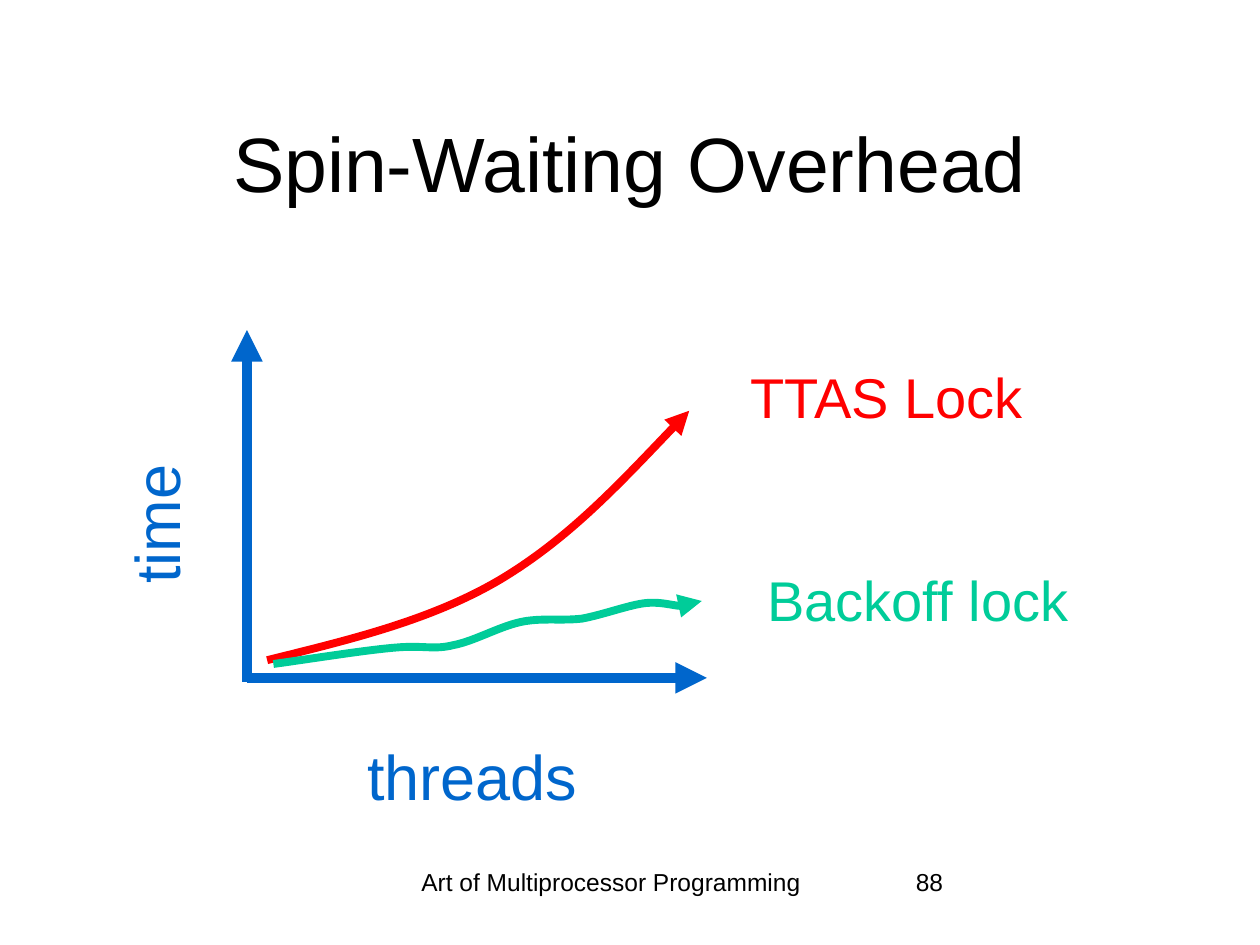
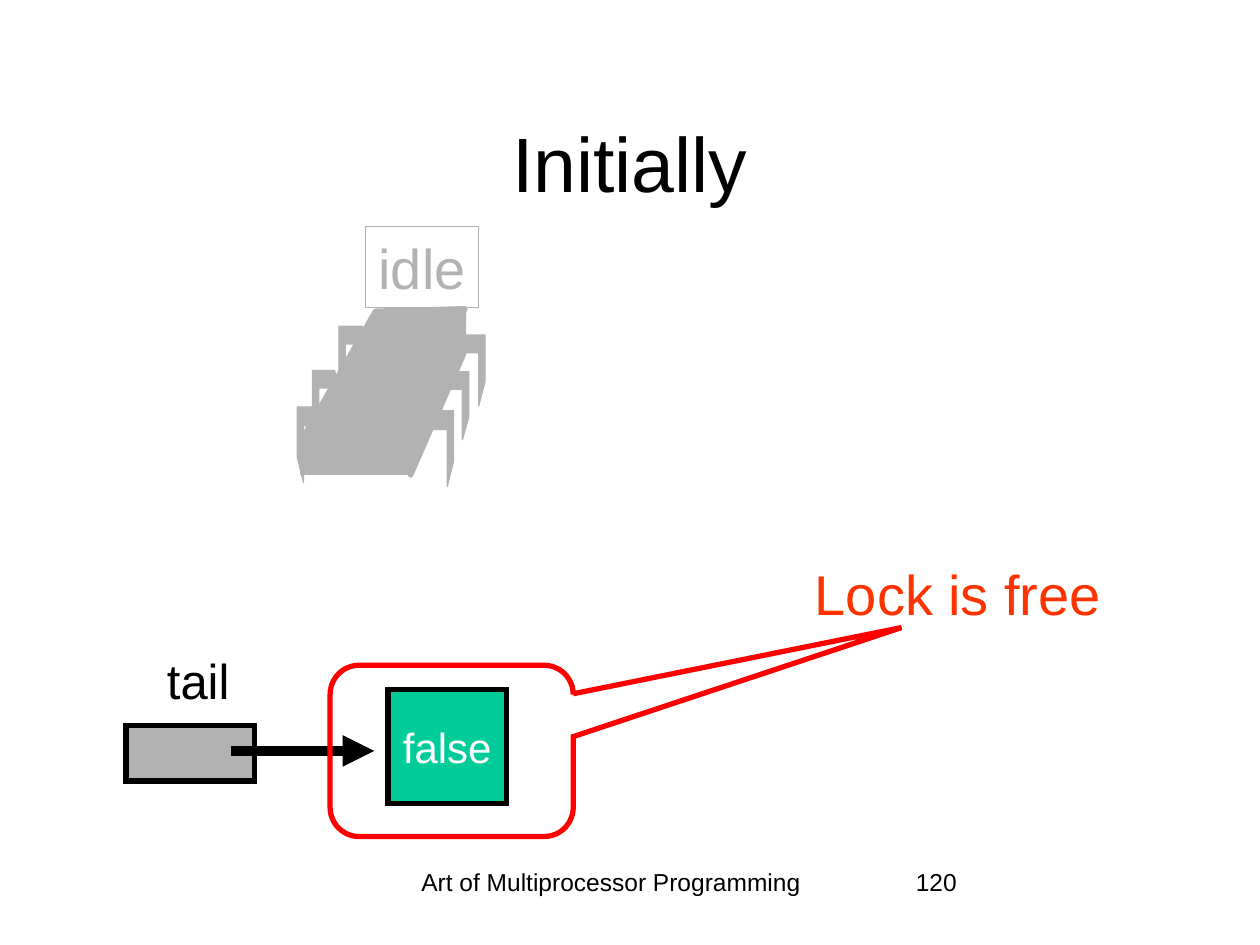
from pptx import Presentation
from pptx.dml.color import RGBColor
from pptx.enum.shapes import MSO_CONNECTOR, MSO_SHAPE
from pptx.enum.text import MSO_ANCHOR, PP_ALIGN
from pptx.oxml.ns import qn
from pptx.oxml.xmlchemy import OxmlElement
from pptx.util import Pt

PX = 9144  # EMU per px, 100 px to the inch
FONT = "Arial"
BLACK = RGBColor(0x00, 0x00, 0x00)
WHITE = RGBColor(0xFF, 0xFF, 0xFF)
BLUE = RGBColor(0x00, 0x66, 0xCC)
RED = RGBColor(0xFF, 0x00, 0x00)
ORANGE = RGBColor(0xFF, 0x33, 0x00)
GREEN = RGBColor(0x00, 0xCC, 0x99)
GREY = RGBColor(0xB2, 0xB2, 0xB2)
LEFT, MID, RIGHT = PP_ALIGN.LEFT, PP_ALIGN.CENTER, PP_ALIGN.RIGHT
TOP, CENTER = MSO_ANCHOR.TOP, MSO_ANCHOR.MIDDLE
RECT, CALL = MSO_SHAPE.RECTANGLE, MSO_SHAPE.ROUNDED_RECTANGULAR_CALLOUT
LINE = MSO_CONNECTOR.STRAIGHT

# Shared places
BOOK = "Art of Multiprocessor Programming"
TITLE_AT = (75, 66, 850, 125)
BOOK_AT = (289, 683, 392, 50)
PAGE_AT = (717, 683, 208, 50)

# Slide 1: axes, curves (start, then two handles and an end per step), labels
AXES = [(196, 541, 196, 262), (196, 538, 561, 538)]
CURVES = [
    (RED, [(212, 524),
           (276, 508), (341, 493), (397, 460),
           (452, 427), (499, 376), (547, 326)]),
    (GREEN, [(217, 527),
             (253, 522), (290, 516), (314, 514),
             (337, 512), (344, 516), (360, 512),
             (376, 509), (395, 498), (412, 494),
             (429, 490), (445, 493), (462, 491),
             (478, 488), (497, 481), (510, 479),
             (523, 477), (534, 481), (542, 481),
             (550, 481), (553, 479), (557, 477)]),
]
LABELS = [  # text, place, size, colour, turn
    ("TTAS Lock", (583, 283, 239, 64), 32, RED, 0),
    ("Backoff lock", (597, 444, 261, 64), 32, GREEN, 0),
    ("time", (66, 381, 125, 81), 36, BLUE, 270),
    ("threads", (270, 580, 198, 81), 36, BLUE, 0),
]

# Slide 2: lock node, tail cell, idle thread
NODE_AT = (308, 547, 94, 91)
CELL_AT = (100, 576, 102, 44)
LINK = (183, 596, 297, 596)
NOTES = [
    ("tail", (121, 511, 71, 57), 28, BLACK, 0),
    ("Lock is free", (635, 439, 249, 64), 32, ORANGE, 0),
]
BUBBLE_AT = (262, 528, 193, 136)
BUBBLE_ADJ = (1.85, -0.72, 0.17)
FRONT_AT = (240, 347, 85, 28)
SEAT = [(240, 348), (325, 345), (369, 245), (298, 247)]
FLANK = [(368, 245), (368, 281), (326, 377), (325, 349)]
IDLE_AT = (290, 180, 90, 64)
# Leg sizes, front to back: reach, shin, foot, hem
LEGS = [(19, 40, 20, 15), (18, 36, 18, 14), (19, 37, 19, 14)]
# Side (-1 left, 1 right) and the hip of each leg
HIPS = {-1: [(255, 323), (266, 294), (288, 259)],
        1: [(341, 326), (354, 295), (366, 266)]}


def emu(nums):
    return [n * PX for n in nums]


def write(frame, text, size, color, align=MID, anchor=CENTER, wrap=False):
    frame.word_wrap = wrap
    frame.vertical_anchor = anchor
    para = frame.paragraphs[0]
    para.alignment = align
    run = para.add_run()
    run.text = text
    run.font.name = FONT
    run.font.size = Pt(size)
    run.font.color.rgb = color


def add_text(slide, text, at, size, color=BLACK, align=RIGHT, anchor=TOP,
             wrap=False, turn=0):
    box = slide.shapes.add_textbox(*emu(at))
    box.rotation = turn
    write(box.text_frame, text, size, color, align, anchor, wrap)


def add_labels(slide, rows):
    for text, at, size, color, turn in rows:
        add_text(slide, text, at, size, color, turn=turn)


def paint(shape, fill, line, width):
    shape.shadow.inherit = False
    if fill is None:
        shape.fill.background()
    else:
        shape.fill.solid()
        shape.fill.fore_color.rgb = fill
    shape.line.color.rgb = line
    shape.line.width = Pt(width)
    return shape


def add_mark(line, tag, name, value):
    mark = OxmlElement(tag)
    mark.set(name, value)
    line._get_or_add_ln().append(mark)


def add_head(line):
    add_mark(line, "a:tailEnd", "type", "triangle")


def add_box(shapes, kind, at, fill, line, width):
    box = paint(shapes.add_shape(kind, *emu(at)), fill, line, width)
    add_mark(box.line, "a:miter", "lim", "800000")
    return box


def add_path(shapes, dots, fill, line, width, close=False):
    pen = shapes.build_freeform(*dots[0], scale=PX)
    pen.add_line_segments(dots[1:], close=close)
    return paint(pen.convert_to_shape(), fill, line, width)


def add_arrow(slide, ends, color):
    link = slide.shapes.add_connector(LINE, *emu(ends))
    link.line.color.rgb = color
    link.line.width = Pt(6)
    link.element.spPr.append(OxmlElement("a:effectLst"))
    add_head(link.line)


def add_curve(slide, dots, color):
    """Draw the dots as a path, then turn each three steps into one curve."""
    shape = add_path(slide.shapes, dots, None, color, 4.5)
    steps = list(shape.element.iter(qn("a:lnTo")))
    for i in range(0, len(steps), 3):
        bend = OxmlElement("a:cubicBezTo")
        steps[i].addprevious(bend)
        for step in steps[i:i + 3]:
            bend.append(step[0])
            step.getparent().remove(step)
    add_head(shape.line)


def add_leg(shapes, hip, side, size):
    x, y = hip
    reach, shin, foot, hem = size
    knee, calf = x + side * reach, x + side * (reach - 5)
    dots = [(x, y), (knee, y), (knee, y + shin), (calf, y + shin + foot),
            (calf, y + hem), (x - side * 4, y + hem)]
    add_path(shapes, dots, GREY, GREY, 0.75)


def add_idle(slide):
    shapes = slide.shapes.add_group_shape().shapes
    add_box(shapes, RECT, FRONT_AT, GREY, GREY, 3)
    for body in (SEAT, FLANK):
        add_path(shapes, body, GREY, GREY, 3, close=True)
    for side, hips in HIPS.items():
        for hip, size in zip(hips, LEGS):
            add_leg(shapes, hip, side, size)
    sign = add_box(shapes, RECT, IDLE_AT, None, GREY, 0.75)
    write(sign.text_frame, "idle", 32, GREY)


def add_slide(deck, title, page):
    slide = deck.slides.add_slide(deck.slide_layouts[6])
    add_text(slide, BOOK, BOOK_AT, 14, align=MID, wrap=True)
    add_text(slide, page, PAGE_AT, 14, align=LEFT, wrap=True)
    add_text(slide, title, TITLE_AT, 44, align=MID, anchor=CENTER, wrap=True)
    return slide


def main():
    deck = Presentation()
    deck.slide_width, deck.slide_height = emu((1000, 750))

    # Time against threads
    slide = add_slide(deck, "Spin-Waiting Overhead", "88")
    for ends in AXES:
        add_arrow(slide, ends, BLUE)
    for color, dots in CURVES:
        add_curve(slide, dots, color)
    add_labels(slide, LABELS)

    # Free lock
    slide = add_slide(deck, "Initially", "120")
    node = add_box(slide.shapes, RECT, NODE_AT, GREEN, BLACK, 3)
    write(node.text_frame, "false", 24, WHITE)
    add_box(slide.shapes, RECT, CELL_AT, GREY, BLACK, 3)
    add_arrow(slide, LINK, BLACK)
    add_idle(slide)
    bubble = add_box(slide.shapes, CALL, BUBBLE_AT, None, RED, 3)
    for i, value in enumerate(BUBBLE_ADJ):
        bubble.adjustments[i] = value
    add_labels(slide, NOTES)

    deck.save("out.pptx")


if __name__ == "__main__":
    main()
